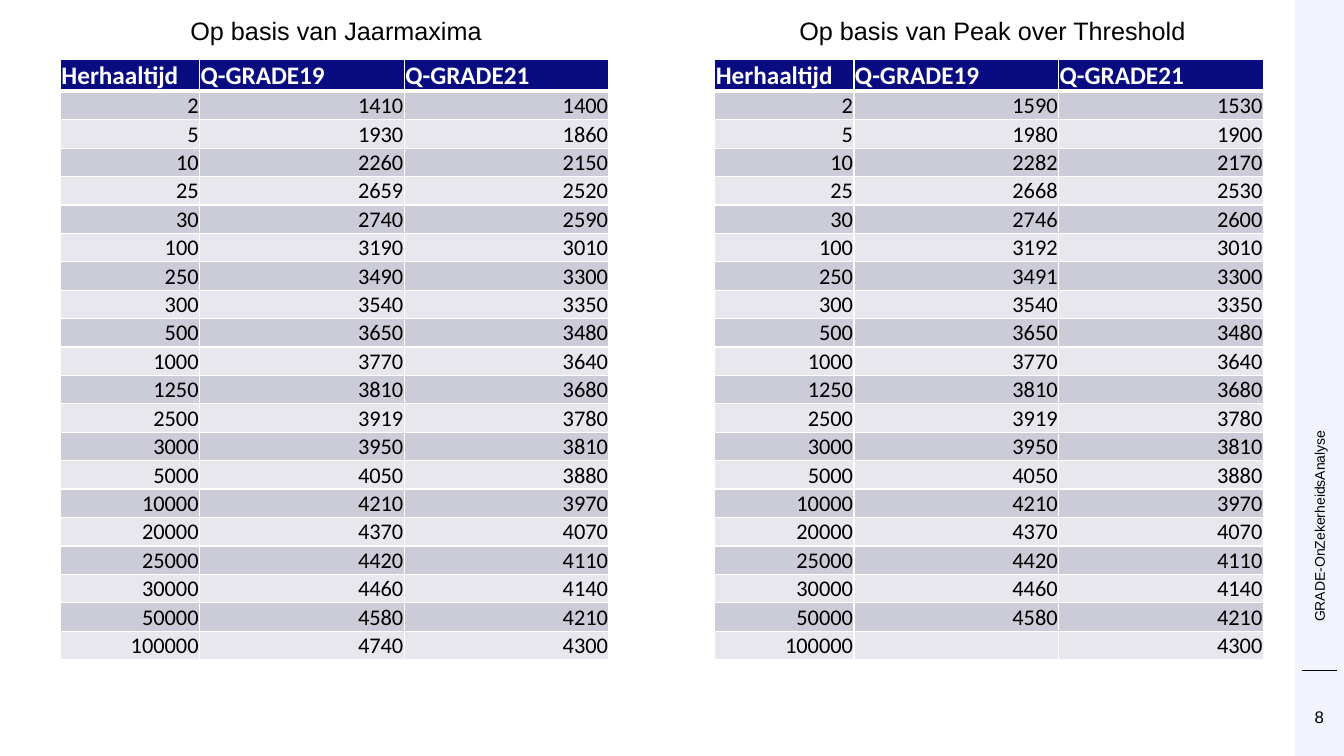
"""Build the slide that compares GRADE19 and GRADE21 discharges per return period."""
from dataclasses import dataclass

from lxml.etree import SubElement
from pptx import Presentation
from pptx.dml.color import RGBColor as Rgb
from pptx.enum.shapes import MSO_CONNECTOR as Conn, MSO_SHAPE as Form
from pptx.enum.text import MSO_ANCHOR as Anchor, PP_ALIGN as Align
from pptx.oxml.ns import qn
from pptx.slide import Slide
from pptx.table import _Cell as Cell
from pptx.text.text import TextFrame
from pptx.util import Inches, Pt

HUE = {
    "ink": "000000", "white": "FFFFFF", "head": "080C80",
    "dark": "CCCCD8", "light": "E7E7ED", "rail": "F1F3FD",
}
HEADS = ("Herhaaltijd", "Q-GRADE19", "Q-GRADE21")
WIDTHS = (1.38, 2.03, 2.03)
ROW = 0.28
TIMES = (2, 5, 10, 25, 30, 100, 250, 300, 500, 1000, 1250, 2500, 3000,
         5000, 10000, 20000, 25000, 30000, 50000, 100000)
TAIL19 = (3540, 3650, 3770, 3810, 3919, 3950, 4050, 4210, 4370, 4420, 4460, 4580)
TAIL21 = (3350, 3480, 3640, 3680, 3780, 3810, 3880, 3970, 4070, 4110, 4140, 4210, 4300)


@dataclass
class Label:
    """A text box with its place and style."""
    text: str
    box: tuple[float, float, float, float]
    size: int
    pad: tuple[float, float] = (0, 0)
    align: Align = Align.LEFT
    anchor: Anchor = Anchor.TOP
    turn: str = "horz"


@dataclass
class Panel:
    """A table of discharges with its left edge."""
    left: float
    old: tuple
    new: tuple


LABELS = (
    Label("8", (12.84, 7.01, 0.49, 0.2), 12, align=Align.CENTER),
    Label("GRADE-OnZekerheidsAnalyse", (13, 0.59, 0.17, 5.58), 10,
          anchor=Anchor.MIDDLE, turn="vert270"),
    Label("Op basis van Jaarmaxima", (1.79, 0.1, 3.71, 0.4), 18, (0.1, 0.05)),
    Label("Op basis van Peak over Threshold", (7.83, 0.1, 4.35, 0.4), 18, (0.1, 0.05)),
)
PANELS = (
    Panel(0.6, (1410, 1930, 2260, 2659, 2740, 3190, 3490, *TAIL19, 4740),
          (1400, 1860, 2150, 2520, 2590, 3010, 3300, *TAIL21)),
    Panel(7.09, (1590, 1980, 2282, 2668, 2746, 3192, 3491, *TAIL19, ""),
          (1530, 1900, 2170, 2530, 2600, 3010, 3300, *TAIL21)),
)


def write(frame: TextFrame, text: str, face: str, size: int, hue: str,
          align: Align, bold: bool = False) -> None:
    """Put one styled paragraph in a frame."""
    frame.text = text
    para = frame.paragraphs[0]
    para.alignment = align
    for run in para.runs:
        run.font.name = face
        run.font.size = Pt(size)
        run.font.bold = bold
        run.font.color.rgb = Rgb.from_string(HUE[hue])
    if not text:
        SubElement(para._p, qn("a:endParaRPr"), sz=str(size * 100))


def edge(cell: Cell, row: int) -> None:
    """Give a cell white borders, thick under the header."""
    top, low = (3 if row == 1 else 1), (3 if row == 0 else 1)
    for side, width in {"L": 1, "R": 1, "T": top, "B": low}.items():
        line = SubElement(cell._tc.get_or_add_tcPr(), qn(f"a:ln{side}"), w=str(Pt(width)))
        fill = SubElement(line, qn("a:solidFill"))
        SubElement(fill, qn("a:srgbClr"), val=HUE["white"])


def add_label(slide: Slide, label: Label) -> None:
    """Draw one text box."""
    frame = slide.shapes.add_textbox(*map(Inches, label.box)).text_frame
    frame.word_wrap = True
    frame.vertical_anchor = label.anchor
    frame.margin_left = frame.margin_right = Inches(label.pad[0])
    frame.margin_top = frame.margin_bottom = Inches(label.pad[1])
    frame._txBody.bodyPr.set("vert", label.turn)
    write(frame, label.text, "Arial", label.size, "ink", label.align)


def add_panel(slide: Slide, panel: Panel) -> None:
    """Draw one table of discharges."""
    rows = (HEADS, *zip(TIMES, panel.old, panel.new))
    grid = slide.shapes.add_table(
        len(rows), len(HEADS), Inches(panel.left), Inches(0.59),
        Inches(sum(WIDTHS)), Inches(ROW * len(rows))).table
    for col, width in zip(grid.columns, WIDTHS):
        col.width = Inches(width)
    for r, row in enumerate(rows):
        grid.rows[r].height = Inches(ROW)
        head = r == 0
        back = "head" if head else "dark" if r % 2 else "light"
        for c, value in enumerate(row):
            cell = grid.cell(r, c)
            cell.margin_left = cell.margin_right = cell.margin_top = Inches(0.01)
            cell.margin_bottom = 0
            cell.vertical_anchor = Anchor.BOTTOM
            edge(cell, r)
            cell.fill.solid()
            cell.fill.fore_color.rgb = Rgb.from_string(HUE[back])
            write(cell.text_frame, str(value), "Calibri", 18 if head else 16,
                  "white" if head else "ink", Align.LEFT if head else Align.RIGHT, head)


def add_rail(slide: Slide) -> None:
    """Draw the pale strip on the right and its short rule."""
    rail = slide.shapes.add_shape(
        Form.RECTANGLE, Inches(12.84), 0, Inches(0.49), Inches(7.5))
    rail.shadow.inherit = False
    rail.fill.solid()
    rail.fill.fore_color.rgb = Rgb.from_string(HUE["rail"])
    rail.line.fill.background()
    rule = slide.shapes.add_connector(
        Conn.STRAIGHT, Inches(12.91), Inches(6.65), Inches(13.26), Inches(6.65))
    rule.line.color.rgb = Rgb.from_string(HUE["ink"])
    rule.line.width = Pt(0.5)
    SubElement(rule._element.spPr, qn("a:effectLst"))


def main() -> None:
    """Build and save the deck."""
    deck = Presentation()
    deck.slide_width, deck.slide_height = Inches(13.33), Inches(7.5)
    slide = deck.slides.add_slide(deck.slide_layouts[6])
    add_rail(slide)
    for panel in PANELS:
        add_panel(slide, panel)
    for label in LABELS:
        add_label(slide, label)
    deck.save("out.pptx")


if __name__ == "__main__":
    main()
